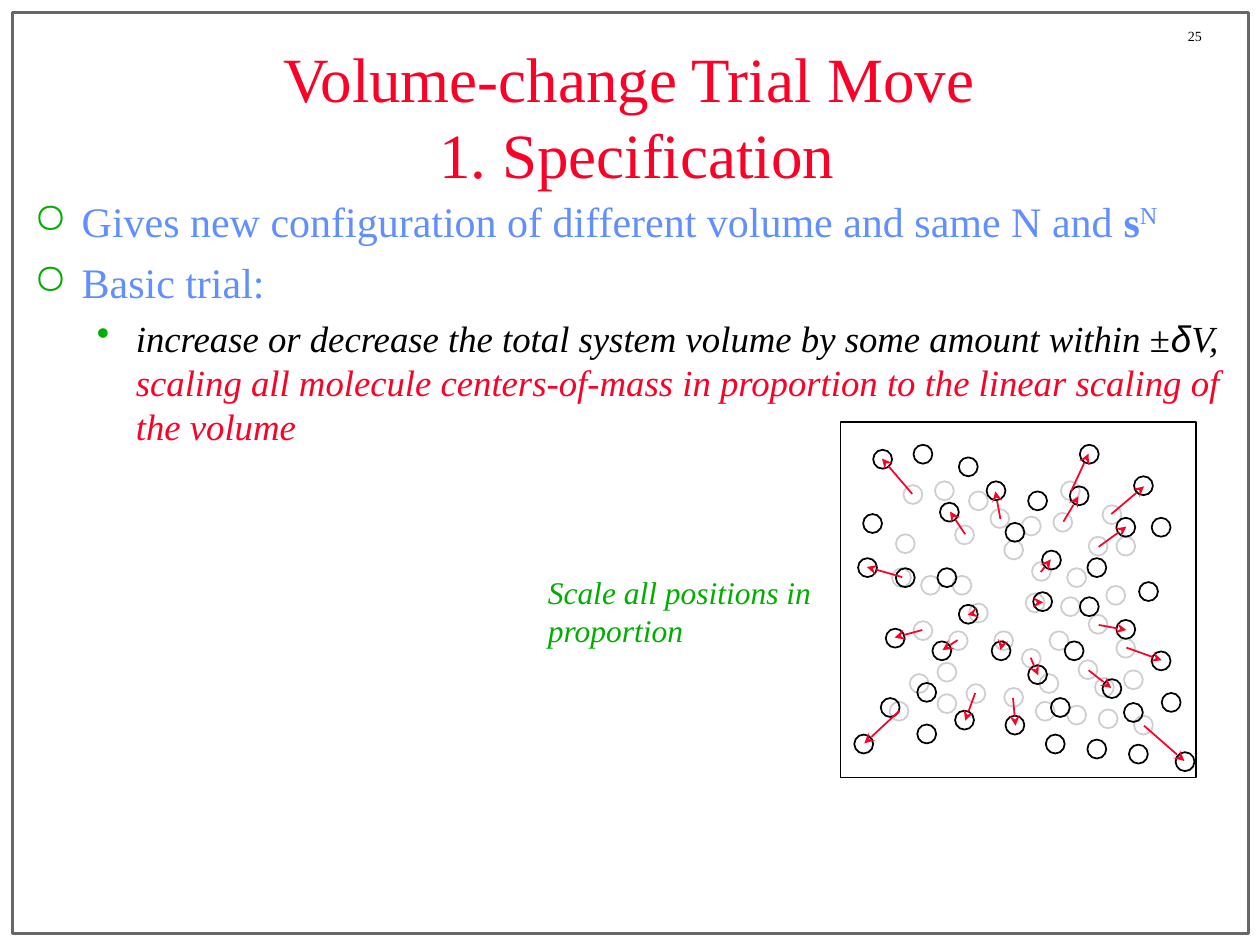
from lxml import etree
from pptx import Presentation, util as u
from pptx.dml.color import RGBColor
from pptx.enum import shapes, text
from pptx.oxml.ns import qn

PX = 9144
SIZE = 15
MID = (795, 475)
RATIO = 1.313
HUES = dict(frame="676767", ghost="CECECE", ink="000000", red="FC0128",
            blue="618FFD", green="00AE00")
TRACED = [
    (717, 385), (753, 501), (864, 426), (886, 507), (797, 546), (814, 471),
    (767, 543), (856, 524), (864, 488), (875, 401), (811, 515), (725, 493),
    (819, 446), (842, 382), (706, 557), (708, 451), (758, 417), (786, 404),
    (769, 479), (836, 407), (900, 568), (789, 501)]
PLAIN = [
    (742, 382), (711, 424), (769, 390), (756, 457), (811, 410), (833, 501),
    (878, 465), (825, 535), (872, 563), (731, 457), (886, 426), (847, 451),
    (842, 474), (744, 526), (744, 551), (822, 557), (797, 429), (869, 538),
    (847, 560), (722, 535), (892, 532)]


class Deck:
    """Holds the style and the current slide, and draws each kind of element."""

    def __init__(self, wide, high):
        self.file = Presentation()
        self.file.slide_width = wide * PX
        self.file.slide_height = high * PX
        self.slide = self.file.slides.add_slide(self.file.slide_layouts[5])

    def color(self, name):
        return RGBColor.from_string(HUES[name])

    def outline(self, kind, box, hue, width=1):
        item = self.slide.shapes.add_shape(kind, *(n * PX for n in box))
        item.shadow.inherit = False
        item.fill.background()
        item.line.color.rgb = self.color(hue)
        item.line.width = u.Pt(width)

    def ring(self, spot, hue):
        self.outline(shapes.MSO_SHAPE.OVAL, (*spot, SIZE, SIZE), hue)

    def arrow(self, start, end):
        ends = [n * PX for n in (*start, *end)]
        item = self.slide.shapes.add_connector(shapes.MSO_CONNECTOR.STRAIGHT, *ends)
        item.line.color.rgb = self.color("red")
        item.line.width = u.Pt(1)
        etree.SubElement(item.line._get_or_add_ln(), qn("a:tailEnd"), type="stealth")
        etree.SubElement(item._element.spPr, qn("a:effectLst"))

    def run(self, para, words, size, hue, face="Times New Roman", bold=False,
            italic=False, base=0):
        run = para.add_run()
        run.text = words
        font = run.font
        font.name, font.size = face, u.Pt(size)
        font.bold, font.italic = bold, italic
        font.color.rgb = self.color(hue)
        if base:
            run._r.get_or_add_rPr().set("baseline", str(base * 1000))

    def title(self, lines, box):
        item = self.slide.shapes.title
        item.left, item.top, item.width, item.height = (n * PX for n in box)
        frame = item.text_frame
        frame.auto_size = text.MSO_AUTO_SIZE.NONE
        frame.vertical_anchor = text.MSO_ANCHOR.MIDDLE
        para = frame.paragraphs[0]
        para.alignment = text.PP_ALIGN.CENTER
        for i, line in enumerate(lines):
            if i:
                para.add_line_break()
            self.run(para, line, 36, "red")

    def box(self, area, wrap=True):
        item = self.slide.shapes.add_textbox(*(n * PX for n in area))
        item.text_frame.word_wrap = wrap
        return item.text_frame

    def bullet(self, para, sign, left, hang, gap):
        props = para._p.get_or_add_pPr()
        props.set("marL", str(left * PX))
        props.set("indent", str(-hang * PX))
        tint = etree.SubElement(props, qn("a:buClr"))
        etree.SubElement(tint, qn("a:srgbClr"), val=HUES["green"])
        etree.SubElement(props, qn("a:buChar"), char=sign)
        para.space_before = u.Pt(gap)


def scale(spot):
    return [round(m + RATIO * (n - m)) for n, m in zip(spot, MID)]


def center(spot):
    return [round(n + SIZE / 2) for n in spot]


def main():
    deck = Deck(1000, 750)
    rect = shapes.MSO_SHAPE.RECTANGLE
    deck.outline(rect, (10, 10, 981, 731), "frame", 2)
    deck.run(deck.box((933, 17, 67, 23), False).paragraphs[0], "25", 8, "ink")
    for spot in TRACED + PLAIN:
        deck.ring(spot, "ghost")

    deck.title(["Volume-change Trial Move ", "1. Specification"], (75, 42, 861, 99))
    body = deck.box((17, 150, 975, 450))
    para = body.paragraphs[0]
    deck.bullet(para, "○", 38, 38, 0)
    deck.run(para, "Gives new configuration of different volume and same N and ", 24, "blue")
    deck.run(para, "s", 24, "blue", bold=True)
    deck.run(para, "N", 24, "blue", base=30)
    para = body.add_paragraph()
    deck.bullet(para, "○", 38, 38, 6)
    deck.run(para, "Basic trial:", 24, "blue")
    para = body.add_paragraph()
    deck.bullet(para, "•", 81, 31, 5.2)
    deck.run(para, "increase or decrease the total system volume by some amount within ±",
             21, "ink", italic=True)
    deck.run(para, "δ", 21, "ink", face="Arial", italic=True)
    deck.run(para, "V, ", 21, "ink", italic=True)
    deck.run(para, "scaling all molecule centers-of-mass in proportion to the linear "
             "scaling of the volume", 21, "red", italic=True)
    note = deck.box((425, 450, 233, 70)).paragraphs[0]
    deck.run(note, "Scale all positions in proportion", 18, "green", italic=True)

    deck.outline(rect, (667, 335, 282, 282), "ink")
    for spot in TRACED + PLAIN:
        deck.ring(scale(spot), "ink")
    for spot in TRACED:
        deck.arrow(center(spot), center(scale(spot)))
    deck.file.save("out.pptx")


if __name__ == "__main__":
    main()
